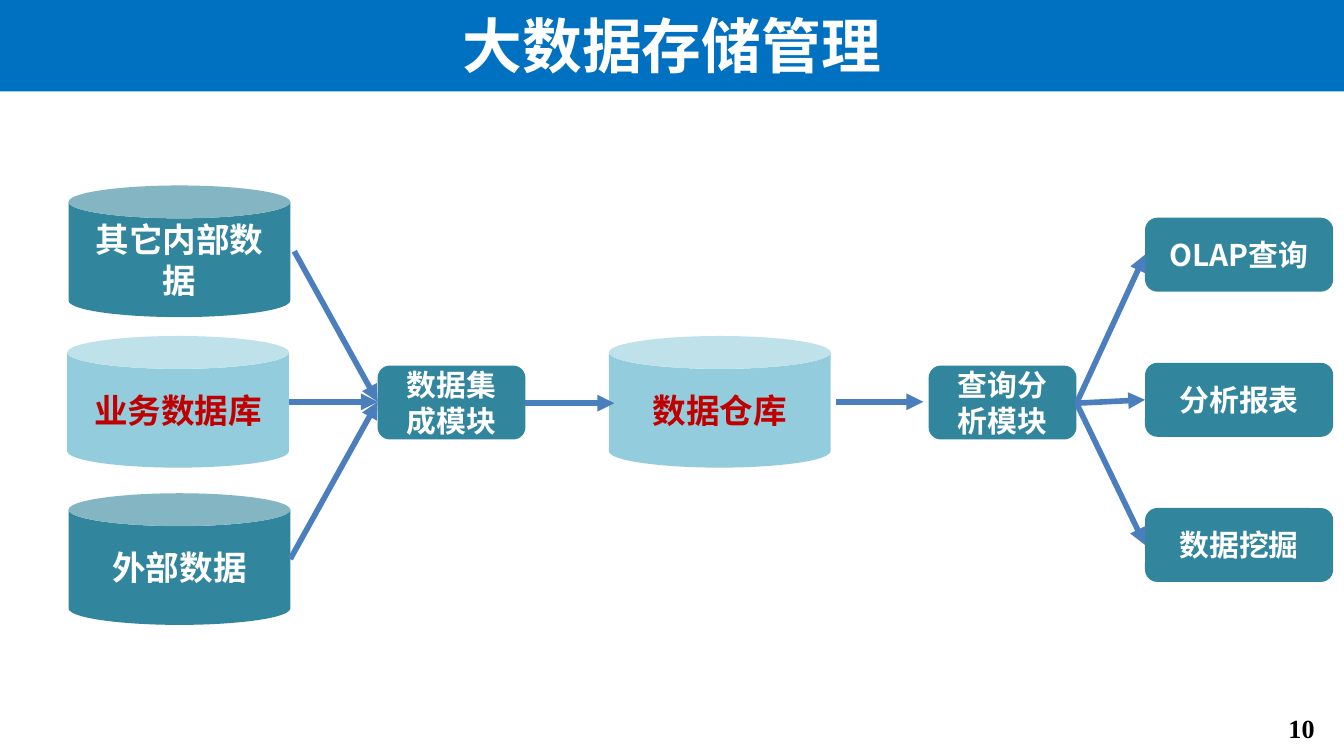
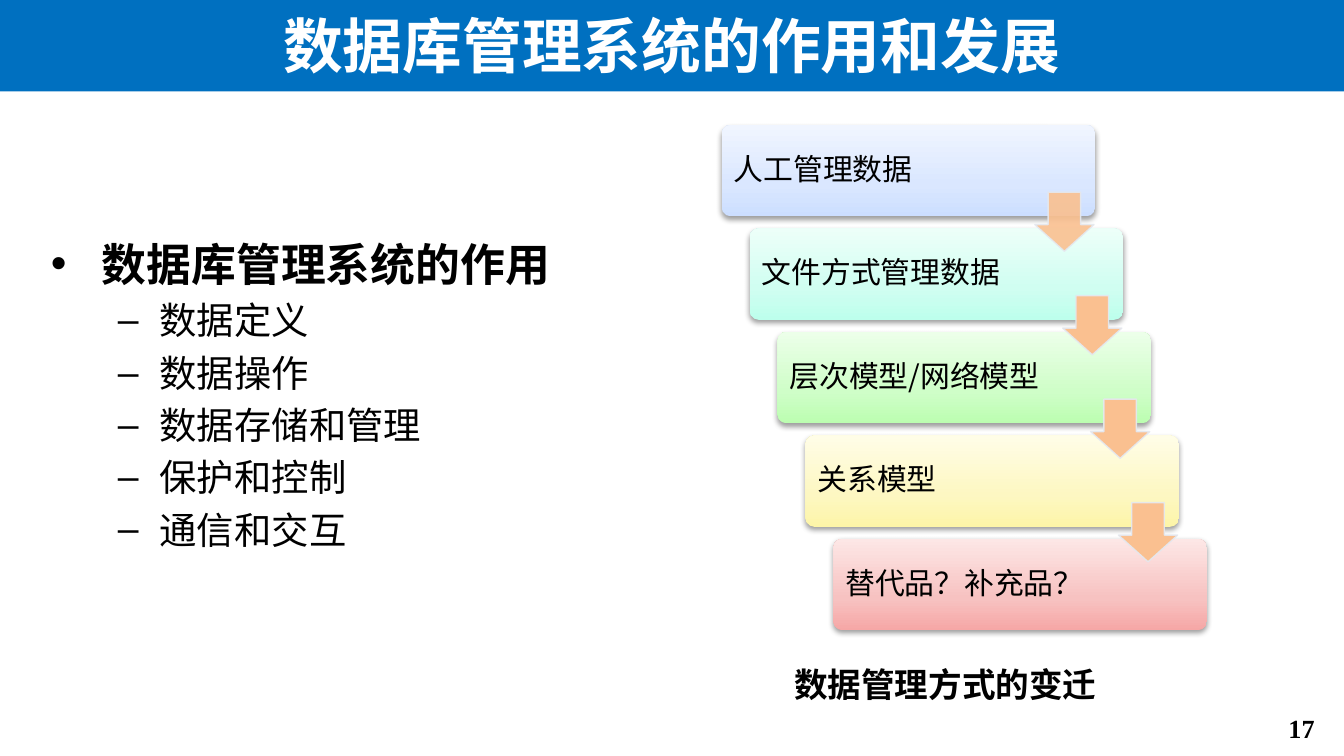
import pptx
import pptx.util
import pptx.dml.color
import pptx.enum.shapes
import pptx.enum.text
import pptx.oxml.ns
from dataclasses import dataclass
from lxml import etree

Inch = pptx.util.Inches
Pt = pptx.util.Pt
Shape = pptx.enum.shapes.MSO_SHAPE
Align = pptx.enum.text.PP_ALIGN
Anchor = pptx.enum.text.MSO_ANCHOR
qn = pptx.oxml.ns.qn


@dataclass(frozen=True)
class Theme:
    wide: float = 10
    high: float = 10 * 9 / 16
    font: str = "Noto Sans CJK SC"
    serif: str = "Times New Roman"
    band: str = "0070C0"
    white: str = "FFFFFF"
    black: str = "000000"
    teal: str = "31859C"
    pale: str = "93CDDD"
    red: str = "C00000"
    link: str = "4B7EBC"
    peach: str = "FAC090"
    edge: str = "E4E9F1"
    title: int = 32
    head: int = 24
    item: int = 20
    label: int = 18
    small: int = 16
    page: int = 14


T = Theme()

STORE = (1.65, 0.98)
BLOCK = (1.1, 0.55)
USE = (1.4, 0.55)
STORES = [
    ("业务数据库", 0.5, 2.5, T.pale, T.red),
    ("数据仓库", 4.53, 2.5, T.pale, T.red),
    ("其它内部数据", 0.51, 1.38, T.teal, T.white),
    ("外部数据", 0.51, 3.67, T.teal, T.white),
]
BLOCKS = [("数据集成模块", 2.81), ("查询分析模块", 6.91)]
USES = ["OLAP查询", "分析报表", "数据挖掘"]
USE_LEFT, USE_TOP, USE_STEP = 8.52, 1.62, 1.08
JOIN, FORK = (2.81, 2.99), (8.01, 3)
LINKS = [
    ((2.19, 1.87), JOIN),
    ((2.15, 2.99), JOIN),
    ((2.16, 4.16), JOIN),
    ((3.91, 3), (4.57, 3)),
    ((6.22, 2.99), (6.87, 2.99)),
]

ROLES = ("数据库管理系统的作用",
         ["数据定义", "数据操作", "数据存储和管理", "保护和控制", "通信和交互"])
STEPS = [
    ("人工管理数据", ("CCDEFF", "DAE7FF", "F0F5FF")),
    ("文件方式管理数据", ("BDFFEC", "D0FEF1", "EDFFF9")),
    ("层次模型/网络模型", ("BCFEB1", "CFFEC8", "ECFFE9")),
    ("关系模型", ("FDF5A8", "FDF7C2", "FFFDE7")),
    ("替代品？补充品？", ("F6A7A6", "F7C2C1", "FDE7E6")),
]
CAPTION = "数据管理方式的变迁"
STEP_LEFT, STEP_TOP = 5.37, 0.93
STEP_X, STEP_Y = (6.2 - STEP_LEFT) / (len(STEPS) - 1), 0.77
STEP = (2.78, 0.68)


def rgb(hue):
    return pptx.dml.color.RGBColor.from_string(hue)


def node(up, tag, **attrs):
    return etree.SubElement(up, qn("a:" + tag), {k: str(v) for k, v in attrs.items()})


def fade(fill, share):
    clr = fill._xPr.find(qn("a:solidFill"))[0]
    node(clr, "alpha", val=share * 1000)


def write(shape, text, size=T.label, color=T.black, bold=False, font=T.font,
          align=Align.LEFT, anchor=Anchor.TOP, inset=None, before=0, after=0,
          line=None, bullet=None, indent=(0, 0), level=0, more=False):
    frame = shape.text_frame
    frame.word_wrap = True
    frame.vertical_anchor = anchor
    if inset is not None:
        frame.margin_left = frame.margin_right = Inch(inset)
        frame.margin_top = frame.margin_bottom = Inch(inset)
    para = frame.add_paragraph() if more else frame.paragraphs[0]
    para.alignment = align
    para.level = level
    para.space_before = Pt(size * before)
    para.space_after = Pt(size * after)
    if line:
        para.line_spacing = line
    if bullet:
        props = para._p.get_or_add_pPr()
        props.set("marL", str(Inch(indent[0])))
        props.set("indent", str(Inch(indent[1])))
        node(props, "buFont", typeface="Arial")
        node(props, "buChar", char=bullet)
    run = para.add_run()
    run.text = text
    run.font.size = Pt(size)
    run.font.bold = bold
    run.font.name = font
    run.font.color.rgb = rgb(color)
    node(run._r.get_or_add_rPr(), "ea", typeface=font)


def box(slide, x, y, w, h):
    return slide.shapes.add_textbox(Inch(x), Inch(y), Inch(w), Inch(h))


def draw(slide, kind, x, y, w, h, fill=None, adj=()):
    shape = slide.shapes.add_shape(kind, Inch(x), Inch(y), Inch(w), Inch(h))
    shape.shadow.inherit = False
    shape.line.fill.background()
    if fill:
        shape.fill.solid()
        shape.fill.fore_color.rgb = rgb(fill)
    for i, part in enumerate(adj):
        shape.adjustments[i] = part
    return shape


def label(slide, kind, text, x, y, size, fill, color=T.white, type_size=T.small):
    shape = draw(slide, kind, x, y, *size, fill)
    write(shape, text, size=type_size, color=color, bold=True, before=0.2,
          align=Align.CENTER, anchor=Anchor.MIDDLE)


def link(slide, start, end):
    line = slide.shapes.add_connector(
        pptx.enum.shapes.MSO_CONNECTOR.STRAIGHT, *map(Inch, start + end))
    line.line.color.rgb = rgb(T.link)
    line.line.width = Pt(3)
    node(line.line._get_or_add_ln(), "tailEnd", type="triangle")
    node(line._element.spPr, "effectLst")


def blend(shape, hues):
    props = shape._element.spPr
    grad = etree.Element(qn("a:gradFill"), rotWithShape="1")
    stops = node(grad, "gsLst")
    for pos, hue in zip((0, 35, 100), hues):
        node(node(stops, "gs", pos=pos * 1000), "srgbClr", val=hue)
    node(grad, "lin", ang=270 * 60000, scaled=0)
    props.find(qn("a:prstGeom")).addnext(grad)
    glow = node(props.find(qn("a:effectLst")), "outerShdw", blurRad=Pt(3.1),
                dist=Pt(1.6), dir=90 * 60000, rotWithShape=0)
    node(node(glow, "srgbClr", val=T.black), "alpha", val=38000)


def start(deck, title, page):
    slide = deck.slides.add_slide(deck.slide_layouts[6])
    write(box(slide, 9.25, 5.25, 0.63, 0.34), str(page), size=T.page,
          bold=True, font=T.serif, align=Align.RIGHT, before=0.2)
    band = draw(slide, Shape.RECTANGLE, 0, -0.02, T.wide, 0.7, T.band)
    write(band, title, size=T.title, color=T.white, bold=True,
          align=Align.CENTER, anchor=Anchor.MIDDLE)
    return slide


def flow(deck):
    slide = start(deck, "大数据存储管理", 10)
    for text, x, y, fill, color in STORES:
        label(slide, Shape.CAN, text, x, y, STORE, fill, color, T.label)
    for text, x in BLOCKS:
        label(slide, Shape.ROUNDED_RECTANGLE, text, x, 2.72, BLOCK, T.teal)
    ends = []
    for i, text in enumerate(USES):
        y = USE_TOP + i * USE_STEP
        label(slide, Shape.ROUNDED_RECTANGLE, text, USE_LEFT, y, USE, T.teal)
        ends.append((FORK, (USE_LEFT, y + USE[1] / 2)))
    for pair in LINKS + ends:
        link(slide, *pair)


def stairs(deck):
    slide = start(deck, "数据库管理系统的作用和发展", 17)
    body = box(slide, 0.28, 1.71, 9.37, 3.31)
    head, items = ROLES
    write(body, head, size=T.head, bold=True, before=0.2, bullet="•",
          indent=(0.38, -0.38))
    for text in items:
        write(body, text, size=T.item, before=0.2, bullet="–",
              indent=(0.81, -0.31), level=1, more=True)
    spots = [(STEP_LEFT + i * STEP_X, STEP_TOP + i * STEP_Y)
             for i in range(len(STEPS))]
    for (text, hues), (x, y) in zip(STEPS, spots):
        blend(draw(slide, Shape.ROUNDED_RECTANGLE, x, y, *STEP, adj=[0.1]), hues)
        write(box(slide, x + 0.02, y + 0.02, 2.09, 0.64), text, size=T.small,
              anchor=Anchor.MIDDLE, inset=0.07, line=0.9, after=0.35)
    for i, (x, y) in enumerate(spots[:-1]):
        arrow = draw(slide, Shape.DOWN_ARROW, x + 2.33, y + 0.5, 0.44, 0.44,
                     T.peach, (0.55, 0.45))
        arrow.line.color.rgb = rgb(T.edge)
        arrow.line.width = Pt(0.75)
        fade(arrow.line.fill, 90)
        if i == 0:
            fade(arrow.fill, 90)
    write(box(slide, 5.81, 4.89, 2.71, 0.4), CAPTION, bold=True)


def main():
    deck = pptx.Presentation()
    deck.slide_width, deck.slide_height = Inch(T.wide), Inch(T.high)
    flow(deck)
    stairs(deck)
    deck.save("out.pptx")


if __name__ == "__main__":
    main()
